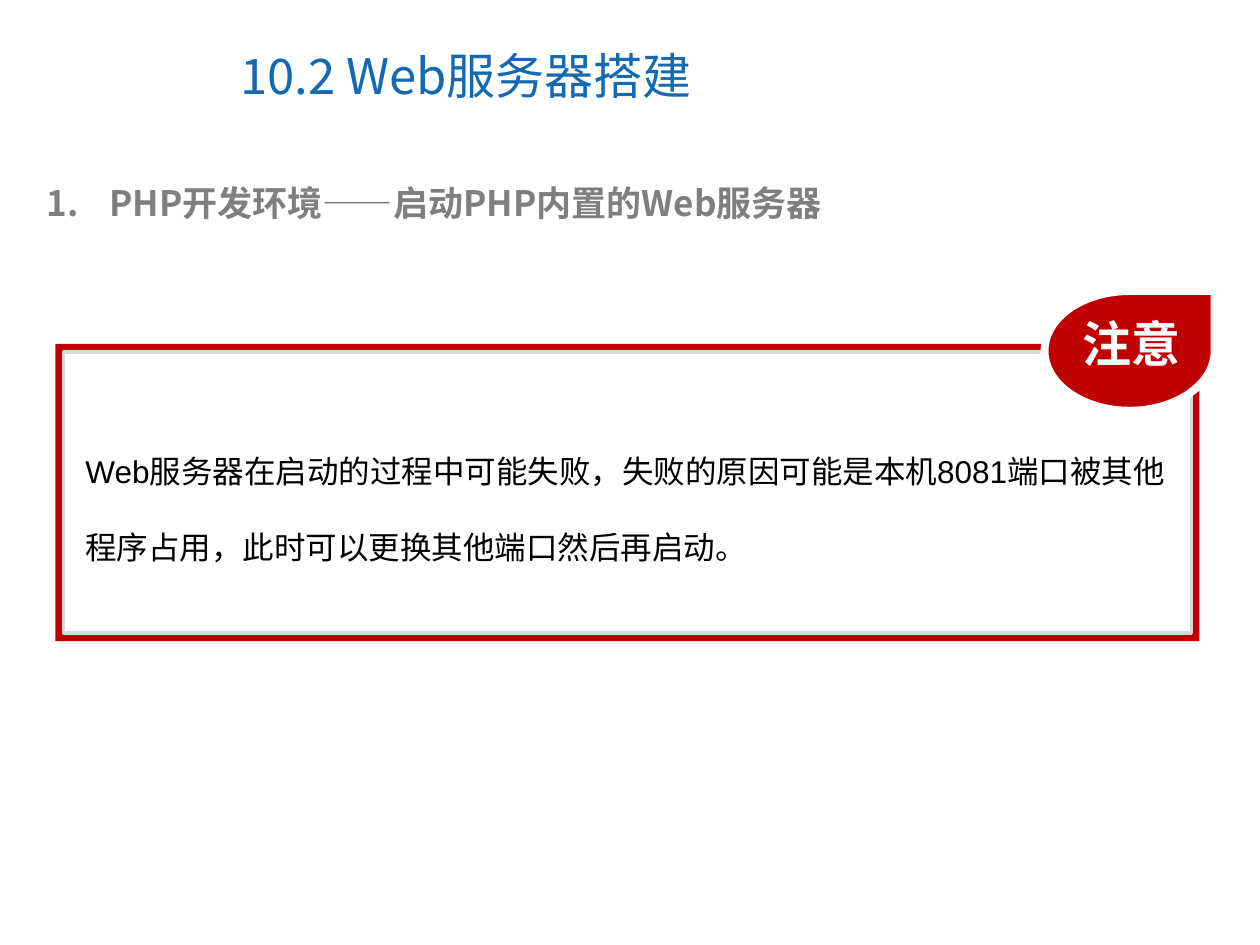
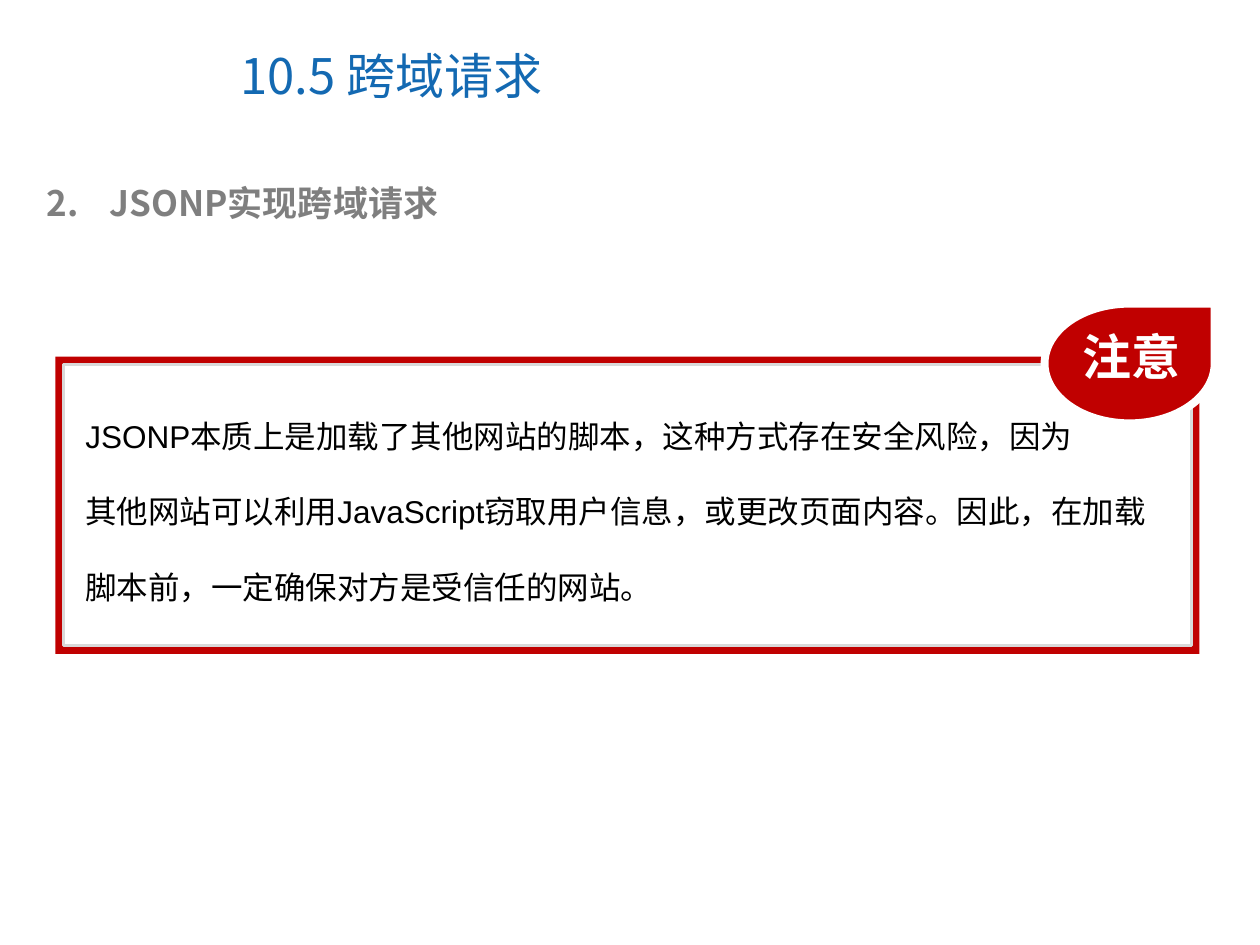
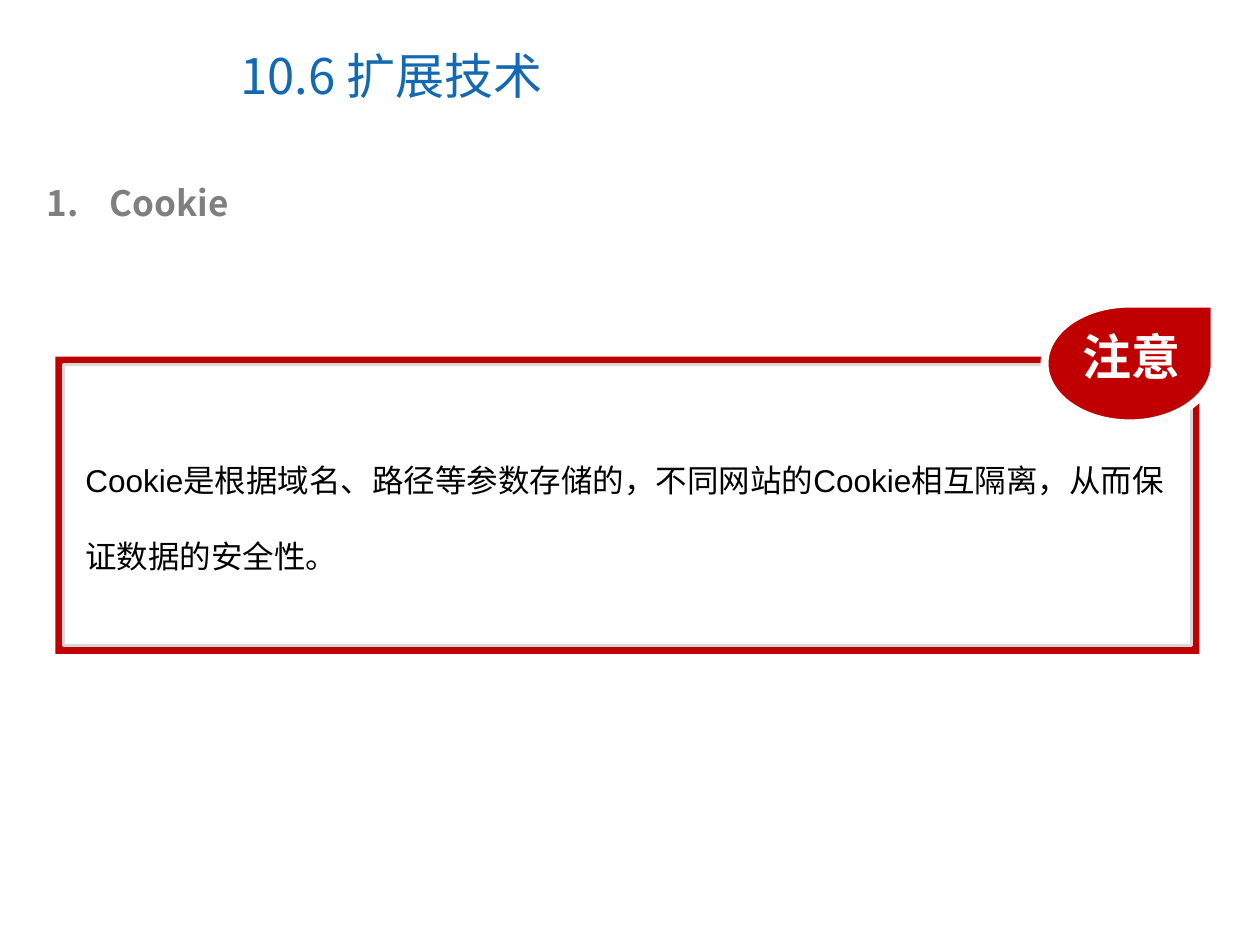
import pptx
import pptx.dml.color
import pptx.enum.lang
import pptx.enum.shapes
import pptx.enum.text
import pptx.oxml.ns
import pptx.util
from lxml import etree

LESSONS = [
    {
        "title": "10.2 Web服务器搭建",
        "number": 1,
        "topic": "PHP开发环境——启动PHP内置的Web服务器",
        "note": ["Web服务器在启动的过程中可能失败，失败的原因可能是本机8081端口被其他程序占用，此时可以更换其他端口然后再启动。"],
        "frame_row": 27.3,
        "note_box": (5.8, 32.4, 90.1, 13),
    },
    {
        "title": "10.5 跨域请求",
        "number": 2,
        "topic": "JSONP实现跨域请求",
        "note": [
            "JSONP本质上是加载了其他网站的脚本，这种方式存在安全风险，因为",
            "其他网站可以利用JavaScript窃取用户信息，或更改页面内容。因此，在加载脚本前，一定确保对方是受信任的网站。",
        ],
        "frame_row": 28.3,
        "note_box": (5.8, 29.6, 87.6, 19),
    },
    {
        "title": "10.6 扩展技术",
        "number": 1,
        "topic": "Cookie",
        "note": ["Cookie是根据域名、路径等参数存储的，不同网站的Cookie相互隔离，从而保证数据的安全性。"],
        "frame_row": 28.3,
        "note_box": (5.8, 33.1, 87.6, 13),
    },
]
BADGE_TEXT = "注意"

COLUMNS, ROWS = 100, 75
CELL = pptx.util.Inches(10) // COLUMNS
TITLE_BOX = (18.1, 1.7, 51.6, 8.5)
TOPIC_BOX = (2.7, 13.9, 92.2, 4.4)
FRAME_LEFT, FRAME_WIDTH, FRAME_HEIGHT, FRAME_BORDER = 4.4, 90.8, 23.6, 0.65
BADGE_LEFT, BADGE_RISE, BADGE_WIDTH, BADGE_HEIGHT = 82.9, 4.2, 13.5, 9.5
LABEL_INSET = (2, 1.3)
LABEL_SIZE = (10.2, 5.7)
TOPIC_INDENT = pptx.util.Inches(0.5)

SANS = "Noto Sans CJK SC"
THEME = {
    "red": "C00000",
    "white": "FFFFFF",
    "edge": "D9D9D9",
    "title": {"size": 28, "name": SANS, "color": "1369B2", "bold": False},
    "topic": {"size": 20, "name": SANS, "color": "7F7F7F", "bold": True},
    "badge": {"size": 28, "name": SANS, "color": "FFFFFF", "bold": True},
    "note": {"size": 18, "name": "Arial", "color": "000000", "bold": False},
}

SHAPES = pptx.enum.shapes.MSO_SHAPE
ANCHORS = pptx.enum.text.MSO_ANCHOR
FITS = pptx.enum.text.MSO_AUTO_SIZE
GROW = {"word_wrap": True, "auto_size": FITS.SHAPE_TO_FIT_TEXT}
UNWRAPPED = {"word_wrap": False, "auto_size": FITS.NONE}
CENTRED = {"word_wrap": True, "vertical_anchor": ANCHORS.MIDDLE}


def rgb(color):
    return pptx.dml.color.RGBColor.from_string(color)


def place(box):
    return [round(length * CELL) for length in box]


def apply(target, values):
    for name, value in values.items():
        setattr(target, name, value)


def add_text(slide, box, lines, style, frame_values, paragraph_values=None):
    frame = slide.shapes.add_textbox(*place(box)).text_frame
    apply(frame, frame_values)
    look = THEME[style]
    for index, line in enumerate(lines):
        paragraph = frame.paragraphs[0] if index == 0 else frame.add_paragraph()
        apply(paragraph, paragraph_values or {})
        run = paragraph.add_run()
        run.text = line
        apply(run.font, {
            "size": pptx.util.Pt(look["size"]),
            "name": look["name"],
            "bold": look["bold"],
            "language_id": pptx.enum.lang.MSO_LANGUAGE_ID.SIMPLIFIED_CHINESE,
        })
        run.font.color.rgb = rgb(look["color"])
        east_asian = etree.SubElement(run._r.rPr, pptx.oxml.ns.qn("a:ea"))
        east_asian.set("typeface", SANS)
    return frame


def number_paragraph(paragraph, number):
    properties = paragraph._p.get_or_add_pPr()
    properties.set("marL", str(TOPIC_INDENT))
    properties.set("indent", str(-TOPIC_INDENT))
    numbering = etree.SubElement(properties, pptx.oxml.ns.qn("a:buAutoNum"))
    numbering.set("type", "arabicPeriod")
    numbering.set("startAt", str(number))


def add_filled(slide, kind, box, fill, line=None, line_width=0):
    shape = slide.shapes.add_shape(kind, *place(box))
    shape.shadow.inherit = False
    shape.fill.solid()
    shape.fill.fore_color.rgb = rgb(fill)
    if line:
        shape.line.color.rgb = rgb(line)
        shape.line.width = pptx.util.Pt(line_width)
    else:
        shape.line.fill.background()


def add_notice(slide, top, note, note_box):
    outer = (FRAME_LEFT, top, FRAME_WIDTH, FRAME_HEIGHT)
    inner = (FRAME_LEFT + FRAME_BORDER, top + FRAME_BORDER,
             FRAME_WIDTH - 2 * FRAME_BORDER, FRAME_HEIGHT - 2 * FRAME_BORDER)
    badge = (BADGE_LEFT, top - BADGE_RISE, BADGE_WIDTH, BADGE_HEIGHT)
    label = (badge[0] + LABEL_INSET[0], badge[1] + LABEL_INSET[1], *LABEL_SIZE)
    add_filled(slide, SHAPES.RECTANGLE, outer, THEME["red"])
    add_filled(slide, SHAPES.RECTANGLE, inner, THEME["white"], THEME["edge"], 2)
    add_filled(slide, SHAPES.TEAR, badge, THEME["red"], THEME["white"], 4.5)
    add_text(slide, label, [BADGE_TEXT], "badge", UNWRAPPED,
             {"alignment": pptx.enum.text.PP_ALIGN.LEFT})
    add_text(slide, note_box, note, "note", GROW, {"line_spacing": 2.0})


def main():
    presentation = pptx.Presentation()
    presentation.slide_width = COLUMNS * CELL
    presentation.slide_height = ROWS * CELL
    for lesson in LESSONS:
        slide = presentation.slides.add_slide(presentation.slide_layouts[6])
        add_text(slide, TITLE_BOX, [lesson["title"]], "title", CENTRED)
        topic = add_text(slide, TOPIC_BOX, [lesson["topic"]], "topic", GROW)
        number_paragraph(topic.paragraphs[0], lesson["number"])
        add_notice(slide, lesson["frame_row"], lesson["note"], lesson["note_box"])
    presentation.save("out.pptx")


if __name__ == "__main__":
    main()
